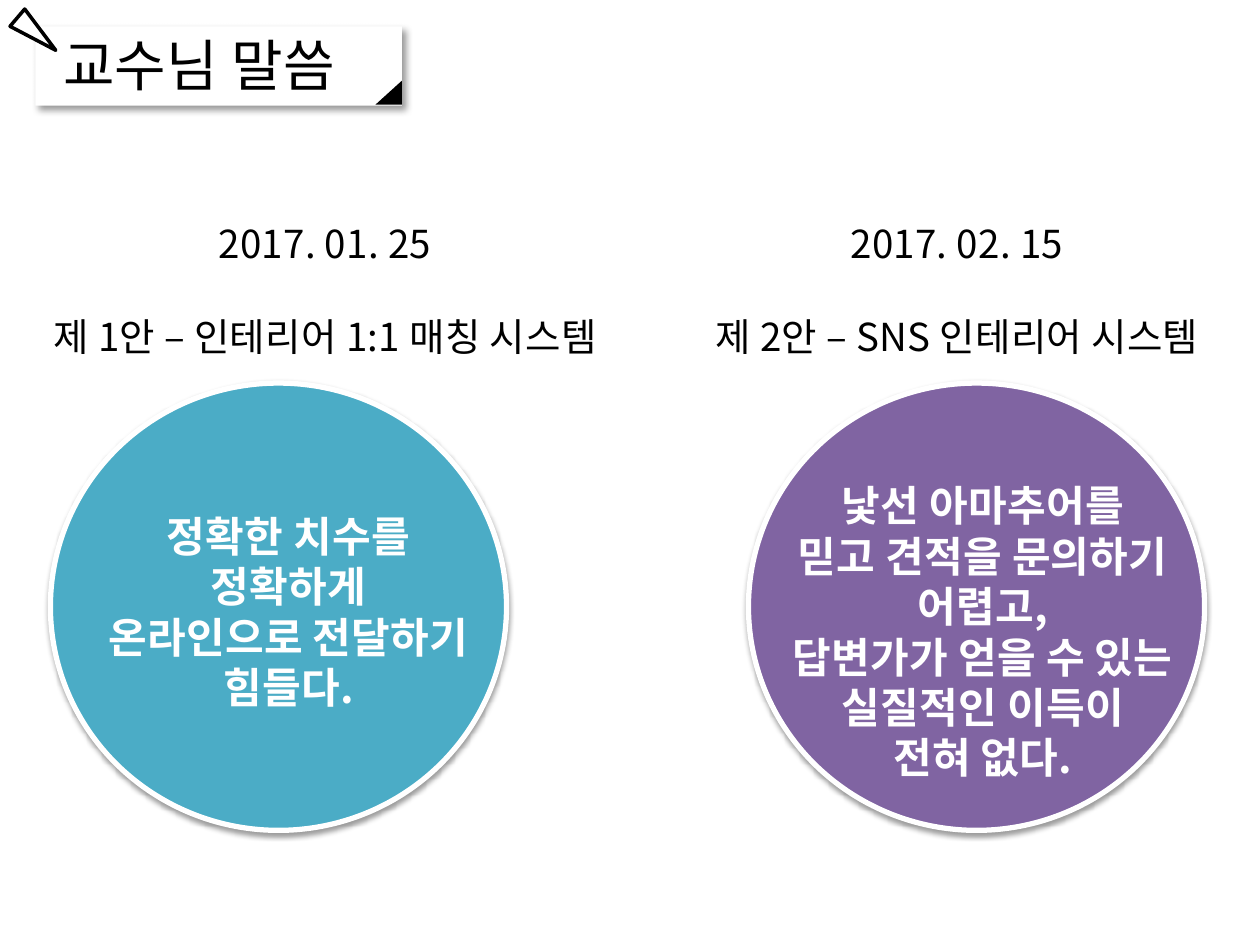
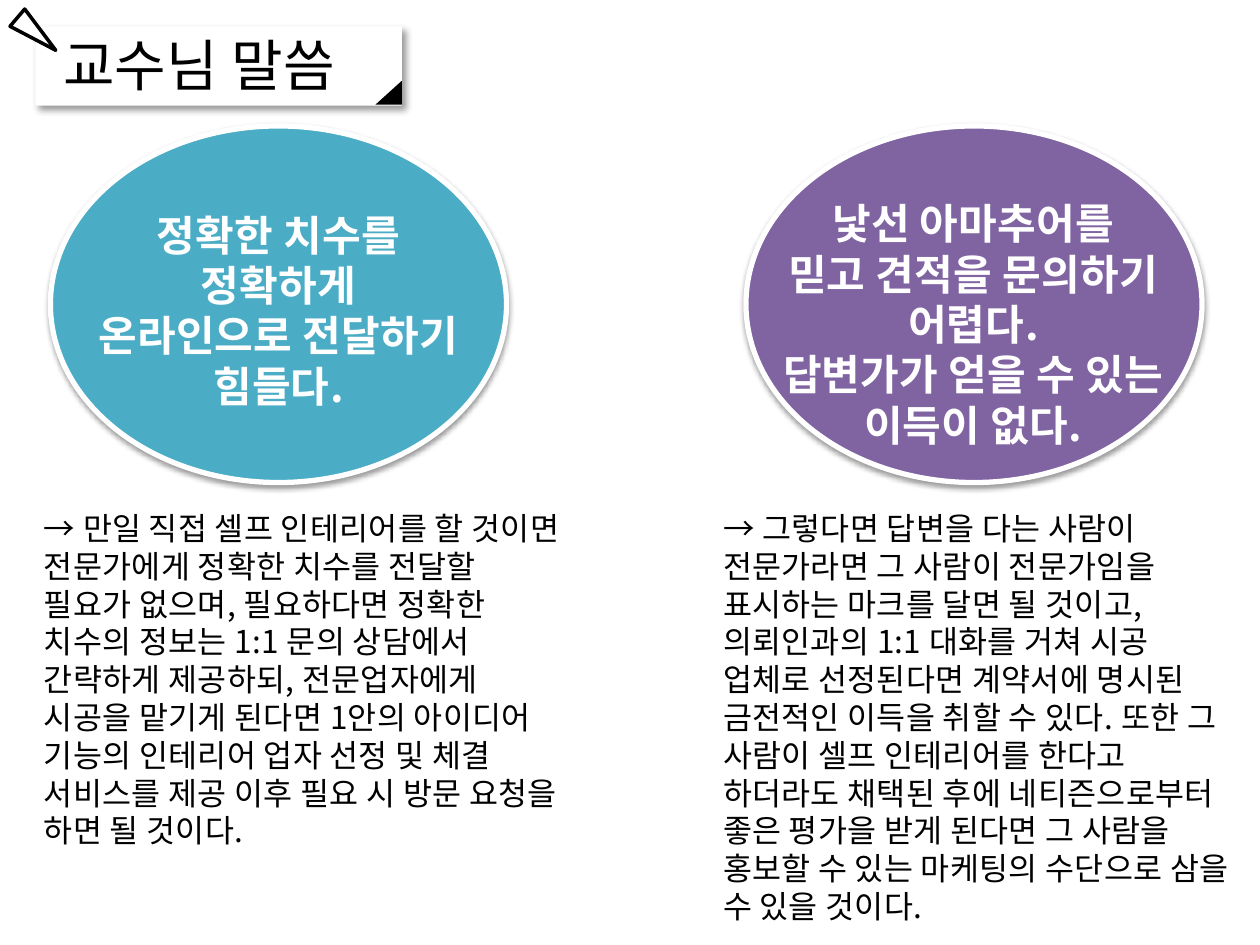
from dataclasses import dataclass

from lxml import etree
from pptx import Presentation
from pptx.dml.color import RGBColor
from pptx.enum.shapes import MSO_SHAPE
from pptx.enum.text import MSO_ANCHOR, MSO_AUTO_SIZE, PP_ALIGN
from pptx.oxml.ns import qn
from pptx.util import Inches, Pt

RECTANGLE, OVAL, TRIANGLE = MSO_SHAPE.RECTANGLE, MSO_SHAPE.OVAL, MSO_SHAPE.ISOSCELES_TRIANGLE
LEFT, CENTER = PP_ALIGN.LEFT, PP_ALIGN.CENTER
TOP = MSO_ANCHOR.TOP
NO_AUTOFIT = MSO_AUTO_SIZE.NONE
TITLE_ONLY = 5

SLIDE_WIDTH, SLIDE_HEIGHT = Inches(10), Inches(7.5)
COLUMNS, ROWS = 100, 75


@dataclass(frozen=True)
class Shadow:
    opacity: int
    blur: float
    distance: float
    angle: int


@dataclass(frozen=True)
class Theme:
    font: str = "Noto Sans CJK KR"
    ink: str = "000000"
    paper: str = "FFFFFF"
    first_plan: str = "4BACC6"
    second_plan: str = "8064A2"
    title_size: int = 32
    opinion_size: int = 24
    heading_size: int = 22
    answer_size: int = 18
    line_height: float = 1.2
    tracking: int = 20  # hundredths of a point
    card_shadow: Shadow = Shadow(40, 4, 3, 45)
    oval_shadow: Shadow = Shadow(38, 3.1, 1.6, 90)


THEME = Theme()


def grid(column, row, columns, rows):
    """Turn grid cells into left, top, width and height."""
    across, down = SLIDE_WIDTH / COLUMNS, SLIDE_HEIGHT / ROWS
    return (round(column * across), round(row * down),
            round(columns * across), round(rows * down))


def cast_shadow(shape, shadow):
    effects = shape.element.spPr.find(qn("a:effectLst"))
    outer = etree.SubElement(
        effects, qn("a:outerShdw"), blurRad=str(Pt(shadow.blur)),
        dist=str(Pt(shadow.distance)), dir=str(shadow.angle * 60000),
        algn="tl", rotWithShape="0")
    color = etree.SubElement(outer, qn("a:srgbClr"), val=THEME.ink)
    etree.SubElement(color, qn("a:alpha"), val=str(shadow.opacity * 1000))


def add_figure(slide, kind, cells, fill, line=None, line_width=0, shadow=None):
    figure = slide.shapes.add_shape(kind, *grid(*cells))
    figure.shadow.inherit = False
    figure.fill.solid()
    figure.fill.fore_color.rgb = RGBColor.from_string(fill)
    if line:
        figure.line.color.rgb = RGBColor.from_string(line)
        figure.line.width = Pt(line_width)
    else:
        figure.line.fill.background()
    if shadow:
        cast_shadow(figure, shadow)
    return figure


def write(frame, lines, size, color=THEME.ink, align=LEFT, bold=False, gap=0):
    """Fill a text frame, one paragraph a line, with gap points between them."""
    frame.word_wrap = True
    frame.auto_size = NO_AUTOFIT
    frame.vertical_anchor = TOP
    for index, line in enumerate(lines):
        paragraph = frame.add_paragraph() if index else frame.paragraphs[0]
        paragraph.alignment = align
        paragraph.line_spacing = Pt(size * THEME.line_height)
        paragraph.space_before = Pt(gap if index else 0)
        run = paragraph.add_run()
        run.text = line
        run.font.size = Pt(size)
        run.font.bold = bold
        run.font.color.rgb = RGBColor.from_string(color)
        run.font.name = THEME.font
        properties = run.font._element
        properties.set("spc", str(THEME.tracking))
        etree.SubElement(properties, qn("a:ea"), typeface=THEME.font)


def add_text(slide, cells, lines, size, **style):
    write(slide.shapes.add_textbox(*grid(*cells)).text_frame, lines, size, **style)


def add_titled_slide(deck, heading):
    """Add a slide whose title lies on a pinned paper card."""
    slide = deck.slides.add_slide(deck.slide_layouts[TITLE_ONLY])
    add_figure(slide, RECTANGLE, (2.8, 2.1, 29.1, 6.3), THEME.paper,
               shadow=THEME.card_shadow)

    title = slide.shapes.title
    title.left, title.top, title.width, title.height = grid(4, 1.9, 26.6, 6.4)
    write(title.text_frame, [heading], THEME.title_size)
    slide.shapes.element.append(title.element)  # bring in front of the card

    pin = add_figure(slide, TRIANGLE, (2, 0.7, 1.8, 4), THEME.paper, THEME.ink, 2)
    pin.rotation = 130.4
    folded_corner = add_figure(slide, TRIANGLE, (29.8, 6.4, 2.1, 1.9), THEME.ink)
    folded_corner.adjustments[0] = 1
    return slide


def add_plan_heading(slide, cells, date, plan):
    add_text(slide, cells, [date, plan], THEME.heading_size, align=CENTER,
             gap=THEME.heading_size * THEME.line_height)


def add_opinion(slide, oval_cells, text_cells, color, lines):
    add_figure(slide, OVAL, oval_cells, color, THEME.paper, 3, THEME.oval_shadow)
    add_text(slide, text_cells, lines, THEME.opinion_size, color=THEME.paper,
             align=CENTER, bold=True)


def main():
    deck = Presentation()
    deck.slide_width, deck.slide_height = SLIDE_WIDTH, SLIDE_HEIGHT
    heading = "교수님 말씀"
    measuring_opinion = ["정확한 치수를", "정확하게", "온라인으로 전달하기", "힘들다."]

    opinions = add_titled_slide(deck, heading)
    add_plan_heading(opinions, (0.8, 17, 50, 12.1),
                     "2017. 01. 25", "제 1안 – 인테리어 1:1 매칭 시스템")
    add_opinion(opinions, (4, 30.4, 36.2, 35.5), (2.8, 40, 40.2, 20.2),
                THEME.first_plan, measuring_opinion)
    add_plan_heading(opinions, (53.9, 17, 44.1, 12.1),
                     "2017. 02. 15", "제 2안 – SNS 인테리어 시스템")
    add_opinion(opinions, (59.4, 30.4, 36.2, 35.5), (57.9, 37.6, 40.2, 25.2),
                THEME.second_plan,
                ["낯선 아마추어를", "믿고 견적을 문의하기", "어렵고,",
                 "답변가가 얻을 수 있는", "실질적인 이득이", "전혀 없다."])

    answers = add_titled_slide(deck, heading)
    add_opinion(answers, (4, 10, 36.2, 28.3), (3.6, 16.1, 37, 17.2),
                THEME.first_plan, measuring_opinion)
    add_opinion(answers, (59.2, 10, 36.2, 28.3), (60.9, 15.2, 32.7, 21.2),
                THEME.second_plan,
                ["낯선 아마추어를", "믿고 견적을 문의하기 어렵다.",
                 "답변가가 얻을 수 있는 이득이 없다."])
    add_text(answers, (2.5, 39.9, 43.4, 28.3), [
        "→ 만일 직접 셀프 인테리어를 할 것이면 전문가에게 정확한 치수를 전달할 "
        "필요가 없으며, 필요하다면 정확한 치수의 정보는 1:1 문의 상담에서 "
        "간략하게 제공하되, 전문업자에게 시공을 맡기게 된다면 1안의 아이디어 "
        "기능의 인테리어 업자 선정 및 체결 서비스를 제공 이후 필요 시 방문 "
        "요청을 하면 될 것이다."], THEME.answer_size)
    add_text(answers, (56.4, 39.9, 43, 34.3), [
        "→ 그렇다면 답변을 다는 사람이 전문가라면 그 사람이 전문가임을 "
        "표시하는 마크를 달면 될 것이고, 의뢰인과의 1:1 대화를 거쳐 시공 "
        "업체로 선정된다면 계약서에 명시된 금전적인 이득을 취할 수 있다. "
        "또한 그 사람이 셀프 인테리어를 한다고 하더라도 채택된 후에 "
        "네티즌으로부터 좋은 평가을 받게 된다면 그 사람을 홍보할 수 있는 "
        "마케팅의 수단으로 삼을 수 있을 것이다."], THEME.answer_size)

    deck.save("out.pptx")


if __name__ == "__main__":
    main()
